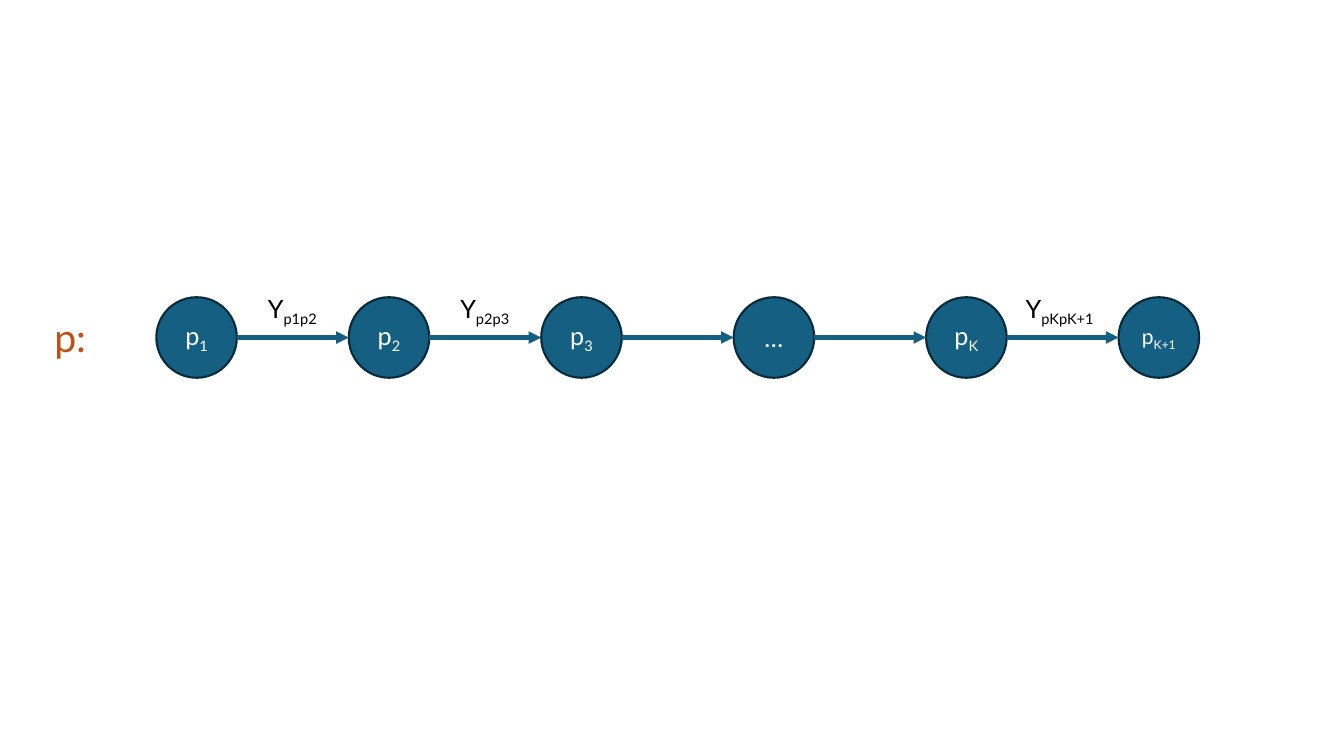
from dataclasses import dataclass

from lxml import etree
from pptx import Presentation
from pptx.dml.color import RGBColor
from pptx.enum.shapes import MSO_CONNECTOR, MSO_SHAPE
from pptx.enum.text import MSO_ANCHOR, MSO_AUTO_SIZE, PP_ALIGN
from pptx.oxml.ns import qn
from pptx.util import Cm, Pt

OVAL = MSO_SHAPE.OVAL
STRAIGHT = MSO_CONNECTOR.STRAIGHT
MIDDLE, TOP = MSO_ANCHOR.MIDDLE, MSO_ANCHOR.TOP
CENTER, LEFT = PP_ALIGN.CENTER, PP_ALIGN.LEFT
GROW = MSO_AUTO_SIZE.SHAPE_TO_FIT_TEXT

FONT = "Lato"
BLUE, NAVY, ORANGE = "156082", "092A39", "C04F15"
WHITE, BLACK = "FFFFFF", "000000"

# Lengths in centimetres
NODE_LEFT, NODE_TOP = 3.94, 7.49
DIAMETER, PITCH = 2.03, 4.85
LABEL_TOP, LABEL_HEIGHT = 7.26, 1.02


@dataclass
class Node:
    text: str
    sub: str = ""
    size: float = 18


@dataclass
class EdgeLabel:
    sub: str
    left: float
    width: float


NODES = [Node("p", "1"), Node("p", "2"), Node("p", "3"),
         Node("…"), Node("p", "K"), Node("p", "K+1", 15)]
EDGE_LABELS = [EdgeLabel("p1p2", 6.5, 1.78), EdgeLabel("p2p3", 11.35, 1.78),
               EdgeLabel("pKpK+1", 25.6, 2.26)]


def rgb(color: str) -> RGBColor:
    return RGBColor.from_string(color)


def write(tf, text: str, *, sub: str = "", size: float = 18, color: str = BLACK,
          align=LEFT, anchor=TOP) -> None:
    """Write text followed by an optional subscript."""
    tf.vertical_anchor = anchor
    p = tf.paragraphs[0]
    p.alignment = align
    for part, baseline in ((text, 0), (sub, -25000)):
        if not part:
            continue
        r = p.add_run()
        r.text = part
        r.font.name = FONT
        r.font.size = Pt(size)
        r.font.color.rgb = rgb(color)
        if baseline:
            r.font._element.set("baseline", str(baseline))


def add_node(s, left: float, node: Node) -> None:
    sp = s.shapes.add_shape(OVAL, Cm(left), Cm(NODE_TOP), Cm(DIAMETER), Cm(DIAMETER))
    sp.shadow.inherit = False
    sp.fill.solid()
    sp.fill.fore_color.rgb = rgb(BLUE)
    sp.line.color.rgb = rgb(NAVY)
    sp.line.width = Pt(1.5)
    write(sp.text_frame, node.text, sub=node.sub, size=node.size, color=WHITE,
          align=CENTER, anchor=MIDDLE)


def add_arrow(s, start: float, end: float) -> None:
    y = Cm(NODE_TOP + DIAMETER / 2)
    cx = s.shapes.add_connector(STRAIGHT, Cm(start), y, Cm(end), y)
    cx.line.color.rgb = rgb(BLUE)
    cx.line.width = Pt(3)
    etree.SubElement(cx.line._get_or_add_ln(), qn("a:tailEnd"), type="triangle")
    etree.SubElement(cx._element.spPr, qn("a:effectLst"))


def add_label(s, left: float, top: float, width: float, height: float,
              text: str, **fmt) -> None:
    tf = s.shapes.add_textbox(Cm(left), Cm(top), Cm(width), Cm(height)).text_frame
    tf.word_wrap = False
    tf.auto_size = GROW
    write(tf, text, **fmt)


def main() -> None:
    prs = Presentation()
    prs.slide_width, prs.slide_height = Cm(33.87), Cm(19.05)
    s = prs.slides.add_slide(prs.slide_layouts[6])

    lefts = [NODE_LEFT + i * PITCH for i in range(len(NODES))]
    for left, node in zip(lefts, NODES):
        add_node(s, left, node)
    for left, next_left in zip(lefts, lefts[1:]):
        add_arrow(s, left + DIAMETER, next_left)

    add_label(s, 1.12, 7.77, 1.37, 1.45, "p:", size=28, color=ORANGE)
    for label in EDGE_LABELS:
        add_label(s, label.left, LABEL_TOP, label.width, LABEL_HEIGHT,
                  "Y", sub=label.sub)

    prs.save("out.pptx")


if __name__ == "__main__":
    main()
